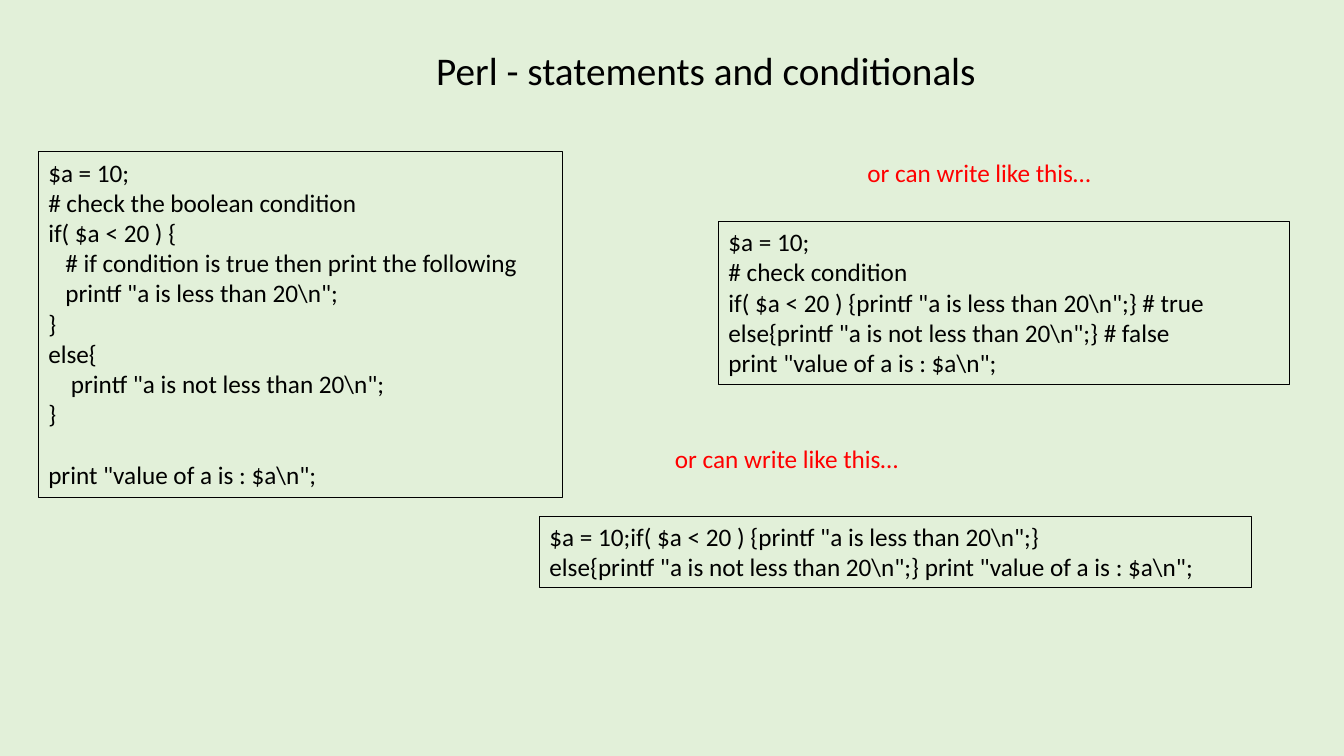
from dataclasses import dataclass

from pptx import Presentation
from pptx import util as u
from pptx.dml import color
from pptx.enum import shapes, text


@dataclass(frozen=True)
class Theme:
    font: str = "Calibri"
    background: str = "E2F0D9"
    ink: str = "000000"
    accent: str = "FF0000"
    title_size: float = 28
    body_size: float = 18
    border: float = 0.75


class SlideBuilder:
    def __init__(self, slide, theme):
        self.slide = slide
        self.theme = theme
        fill = slide.background.fill
        fill.solid()
        fill.fore_color.rgb = color.RGBColor.from_string(theme.background)

    def set_lines(self, frame, lines, size, ink, wrap):
        frame.word_wrap = wrap
        frame.auto_size = text.MSO_AUTO_SIZE.SHAPE_TO_FIT_TEXT
        frame.vertical_anchor = text.MSO_ANCHOR.TOP
        for index, line in enumerate(lines):
            paragraph = frame.add_paragraph() if index else frame.paragraphs[0]
            paragraph.alignment = text.PP_ALIGN.LEFT
            if line:
                run = paragraph.add_run()
                run.text = line
                run.font.name = self.theme.font
                run.font.size = u.Pt(size)
                run.font.color.rgb = color.RGBColor.from_string(ink)

    def label(self, box, wording, size, ink):
        caption = self.slide.shapes.add_textbox(*map(u.Pt, box))
        self.set_lines(caption.text_frame, [wording], size, ink, wrap=False)

    def title(self, box, wording):
        self.label(box, wording, self.theme.title_size, self.theme.ink)

    def remark(self, box, wording):
        self.label(box, wording, self.theme.body_size, self.theme.accent)

    def code(self, box, listing):
        panel = self.slide.shapes.add_shape(
            shapes.MSO_SHAPE.RECTANGLE, *map(u.Pt, box))
        panel.shadow.inherit = False
        panel.fill.background()
        panel.line.color.rgb = color.RGBColor.from_string(self.theme.ink)
        panel.line.width = u.Pt(self.theme.border)
        self.set_lines(panel.text_frame, listing.strip().splitlines(),
                       self.theme.body_size, self.theme.ink, wrap=True)


BLOCK_FORM = r'''
$a = 10;
# check the boolean condition
if( $a < 20 ) {
   # if condition is true then print the following
   printf "a is less than 20\n";
}
else{
    printf "a is not less than 20\n";
}

print "value of a is : $a\n";
'''

COMPACT_FORM = r'''
$a = 10;
# check condition
if( $a < 20 ) {printf "a is less than 20\n";} # true
else{printf "a is not less than 20\n";} # false
print "value of a is : $a\n";
'''

DENSE_FORM = r'''
$a = 10;if( $a < 20 ) {printf "a is less than 20\n";}
else{printf "a is not less than 20\n";} print "value of a is : $a\n";
'''

ALTERNATIVE = "or can write like this…"


def main():
    deck = Presentation()
    deck.slide_width, deck.slide_height = u.Pt(960), u.Pt(540)
    builder = SlideBuilder(deck.slides.add_slide(deck.slide_layouts[6]), Theme())

    # Title
    builder.title((304.5, 29.5, 404.6, 41), "Perl - statements and conditionals")

    # Conditional spread over several lines
    builder.code((27.4, 108.5, 374.4, 247), BLOCK_FORM)

    # Each branch on one line
    builder.remark((612.5, 108.5, 175.7, 29), ALTERNATIVE)
    builder.code((513.2, 158.2, 408, 116.6), COMPACT_FORM)

    # Whole program on two lines
    builder.remark((475, 313.2, 175.7, 29), ALTERNATIVE)
    builder.code((385.4, 368.8, 508.8, 51), DENSE_FORM)

    deck.save("out.pptx")


if __name__ == "__main__":
    main()
